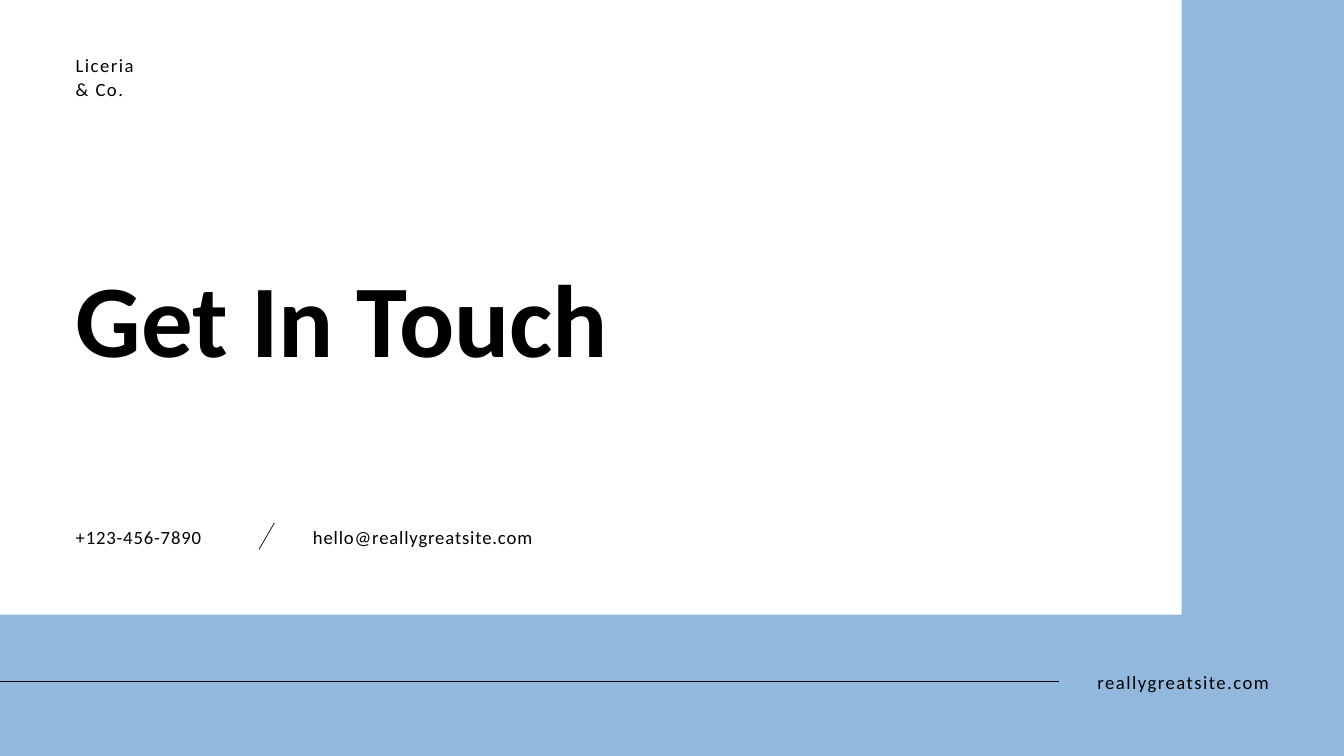
from dataclasses import dataclass

from lxml import etree
from pptx import Presentation
from pptx.dml.color import RGBColor
from pptx.enum import shapes, text
from pptx.oxml.ns import qn
from pptx.slide import Slide
from pptx.util import Emu, Pt

PX = 9525  # EMU per px, 96 px to the inch
WIDTH, HEIGHT = 1920, 1080
MARGIN = 108
CONTACT_TOP = 745

BLUE = RGBColor(0x92, 0xB8, 0xDD)
WHITE = RGBColor(0xFF, 0xFF, 0xFF)
BLACK = RGBColor(0x00, 0x00, 0x00)
FONT = "Calibri"


@dataclass(frozen=True)
class Label:
    lines: tuple[str, ...]
    left: int
    top: int
    width: int
    height: int
    leading: float
    size: float = 20
    tracking: float = 0
    bold: bool = False
    align: text.PP_ALIGN = text.PP_ALIGN.LEFT


@dataclass(frozen=True)
class Rule:
    x1: int
    y1: int
    x2: int
    y2: int


LABELS = (
    Label(("reallygreatsite.com",), 1513, 952, 300, 36, 28.6, tracking=1.6,
          align=text.PP_ALIGN.RIGHT),
    Label(("Liceria", "& Co."), MARGIN, 76, 158, 66, 25, tracking=1.6),
    Label(("Get In Touch",), MARGIN, 371, 820, 340, 126.8, size=110.3, bold=True),
    Label(("+123-456-7890",), MARGIN, CONTACT_TOP, 234, 36, 28.6, tracking=0.9),
    Label(("hello@reallygreatsite.com",), 447, CONTACT_TOP, 375, 36, 28.6, tracking=0.9),
)
RULES = (
    Rule(-36, 974, 1513, 974),
    Rule(392, 747, 370, 785),
)


def px(*lengths: int) -> list[Emu]:
    return [Emu(n * PX) for n in lengths]


def add_panel(s: Slide) -> None:
    sp = s.shapes.add_shape(shapes.MSO_SHAPE.RECTANGLE, *px(0, -16, 1688, 894))
    sp.shadow.inherit = False
    sp.fill.solid()
    sp.fill.fore_color.rgb = WHITE
    sp.line.fill.background()


def add_rule(s: Slide, rule: Rule) -> None:
    line = s.shapes.add_connector(
        shapes.MSO_CONNECTOR.STRAIGHT, *px(rule.x1, rule.y1, rule.x2, rule.y2))
    line.line.color.rgb = BLACK
    line.line.width = Pt(0.75)
    etree.SubElement(line._element.spPr, qn("a:effectLst"))


def add_label(s: Slide, label: Label) -> None:
    sp = s.shapes.add_textbox(*px(label.left, label.top, label.width, label.height))
    tf = sp.text_frame
    tf.word_wrap = True
    tf.auto_size = text.MSO_AUTO_SIZE.SHAPE_TO_FIT_TEXT
    tf.margin_left = tf.margin_top = tf.margin_right = tf.margin_bottom = 0
    tf.text = "\n".join(label.lines)
    for p in tf.paragraphs:
        p.alignment = label.align
        p.line_spacing = Pt(label.leading)
        p.font.name = FONT
        p.font.size = Pt(label.size)
        p.font.bold = label.bold
        p.font.color.rgb = BLACK
        if label.tracking:
            for r in p.runs:
                r._r.get_or_add_rPr().set("spc", str(round(label.tracking * 100)))


def main() -> None:
    prs = Presentation()
    prs.slide_width, prs.slide_height = px(WIDTH, HEIGHT)
    s = prs.slides.add_slide(prs.slide_layouts[6])
    s.background.fill.solid()
    s.background.fill.fore_color.rgb = BLUE
    add_panel(s)
    for rule in RULES:
        add_rule(s, rule)
    for label in LABELS:
        add_label(s, label)
    prs.save("out.pptx")


if __name__ == "__main__":
    main()
